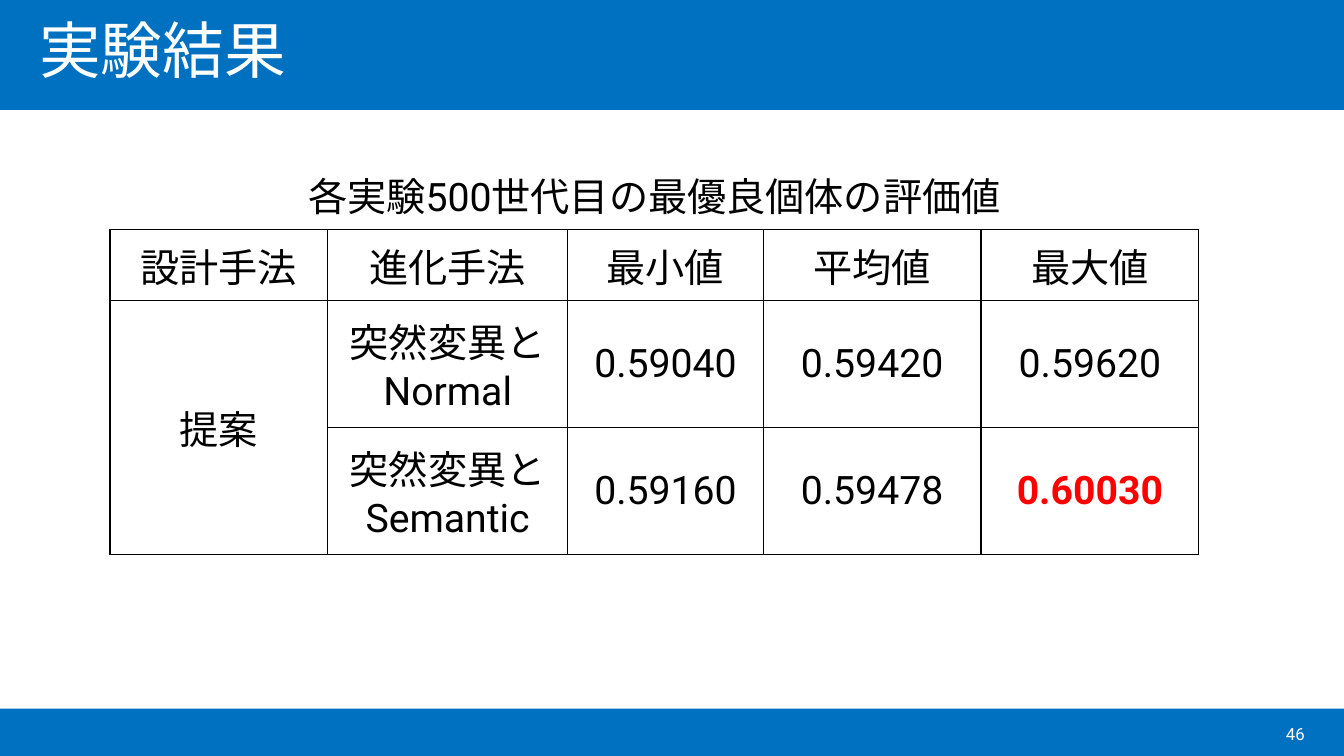
from lxml import etree
from pptx import Presentation
from pptx.dml.color import RGBColor
from pptx.enum.lang import MSO_LANGUAGE_ID
from pptx.enum.shapes import MSO_SHAPE
from pptx.enum.text import MSO_ANCHOR, PP_ALIGN
from pptx.oxml.ns import qn
from pptx.util import Inches, Pt

RECTANGLE = MSO_SHAPE.RECTANGLE
MIDDLE = MSO_ANCHOR.MIDDLE
LEFT, CENTER, RIGHT = PP_ALIGN.LEFT, PP_ALIGN.CENTER, PP_ALIGN.RIGHT
JAPANESE = MSO_LANGUAGE_ID.JAPANESE

TITLE = "実験結果"
PAGE_NUMBER = "46"
CAPTION = "各実験500世代目の最優良個体の評価値"
ROWS = [
    [CAPTION, "", "", "", ""],
    ["設計手法", "進化手法", "最小値", "平均値", "最大値"],
    ["提案", "突然変異と\nNormal", "0.59040", "0.59420", "0.59620"],
    ["", "突然変異と\nSemantic", "0.59160", "0.59478", "0.60030"],
]
MERGES = [((0, 0), (0, 4)), ((2, 0), (3, 0))]
BEST = (3, 4)

COLORS = {"band": "0070C0", "paper": "FFFFFF", "ink": "000000", "best": "FF0000"}
WIDTH, HEIGHT = 13.33, 7.5
BANDS = [(0, 1.09), (7.03, HEIGHT - 7.03)]
TABLE_LEFT, TABLE_TOP = 1.09, 1.58
COLUMN_WIDTHS = [2.16, 2.38, 1.94, 2.16, 2.16]
ROW_HEIGHTS = [0.7, 0.7, 1.26, 1.26]
BORDER_WIDTH = Pt(1)


def color(name):
    return RGBColor.from_string(COLORS[name])


def write(frame, text, size, ink, alignment, bold=False, line_spacing=None):
    frame.text = text
    font_format = {"name": "Roboto", "size": Pt(size), "bold": bold,
                   "language_id": JAPANESE}
    for paragraph in frame.paragraphs:
        paragraph.alignment = alignment
        paragraph.line_spacing = line_spacing
        for run in paragraph.runs:
            for attribute, value in font_format.items():
                setattr(run.font, attribute, value)
            run.font.color.rgb = color(ink)


def add_label(slide, box, text, size, alignment, line_spacing=None):
    frame = slide.shapes.add_textbox(*map(Inches, box)).text_frame
    frame.word_wrap = True
    frame.vertical_anchor = MIDDLE
    write(frame, text, size, "paper", alignment, line_spacing=line_spacing)


def set_borders(cell, visible_sides):
    properties = cell._tc.get_or_add_tcPr()
    for position, side in enumerate("LRTB"):
        line = etree.Element(qn(f"a:ln{side}"), w=str(BORDER_WIDTH))
        if side in visible_sides:
            fill = etree.SubElement(line, qn("a:solidFill"))
            etree.SubElement(fill, qn("a:srgbClr"), val=COLORS["ink"])
        else:
            etree.SubElement(line, qn("a:noFill"))
        properties.insert(position, line)


def add_results_table(slide):
    table = slide.shapes.add_table(
        len(ROWS), len(COLUMN_WIDTHS), Inches(TABLE_LEFT), Inches(TABLE_TOP),
        Inches(sum(COLUMN_WIDTHS)), Inches(sum(ROW_HEIGHTS))).table
    table.first_row = table.horz_banding = False
    for column, width in zip(table.columns, COLUMN_WIDTHS):
        column.width = Inches(width)
    for row, height in zip(table.rows, ROW_HEIGHTS):
        row.height = Inches(height)
    for first, last in MERGES:
        table.cell(*first).merge(table.cell(*last))
    for row_index, texts in enumerate(ROWS):
        for column_index, text in enumerate(texts):
            cell = table.cell(row_index, column_index)
            best = (row_index, column_index) == BEST
            cell.vertical_anchor = MIDDLE
            cell.fill.solid()
            cell.fill.fore_color.rgb = color("paper")
            set_borders(cell, "LRTB" if row_index else "B")
            if text:
                write(cell.text_frame, text, 28, "best" if best else "ink", CENTER, best)


def main():
    presentation = Presentation()
    presentation.slide_width = Inches(WIDTH)
    presentation.slide_height = Inches(HEIGHT)
    slide = presentation.slides.add_slide(presentation.slide_layouts[6])
    for top, height in BANDS:
        band = slide.shapes.add_shape(
            RECTANGLE, 0, Inches(top), Inches(WIDTH), Inches(height))
        band.shadow.inherit = False
        band.fill.solid()
        band.fill.fore_color.rgb = color("band")
        band.line.fill.background()
    add_label(slide, (0.29, 0.06, 12.75, 0.94), TITLE, 44, LEFT, 0.9)
    add_label(slide, (10.04, 7.08, 3, 0.4), PAGE_NUMBER, 12, RIGHT)
    add_results_table(slide)
    presentation.save("out.pptx")


if __name__ == "__main__":
    main()
